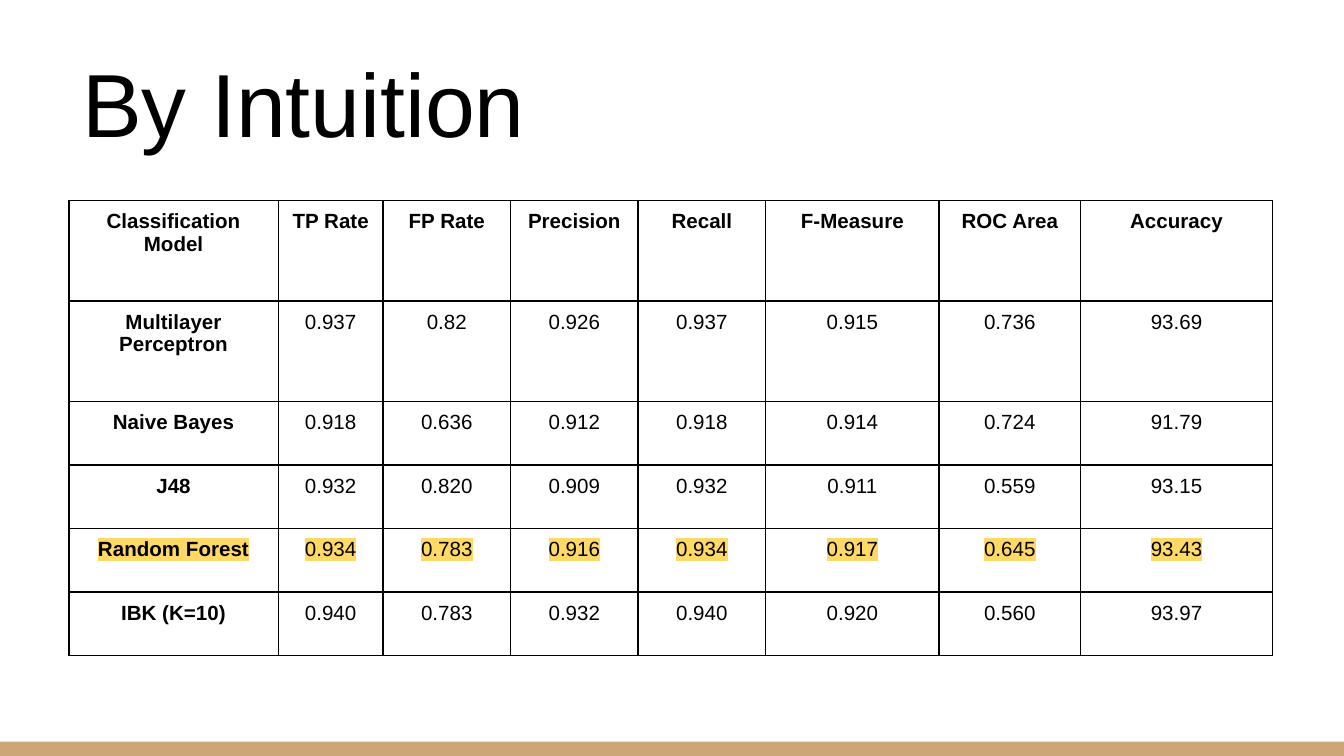
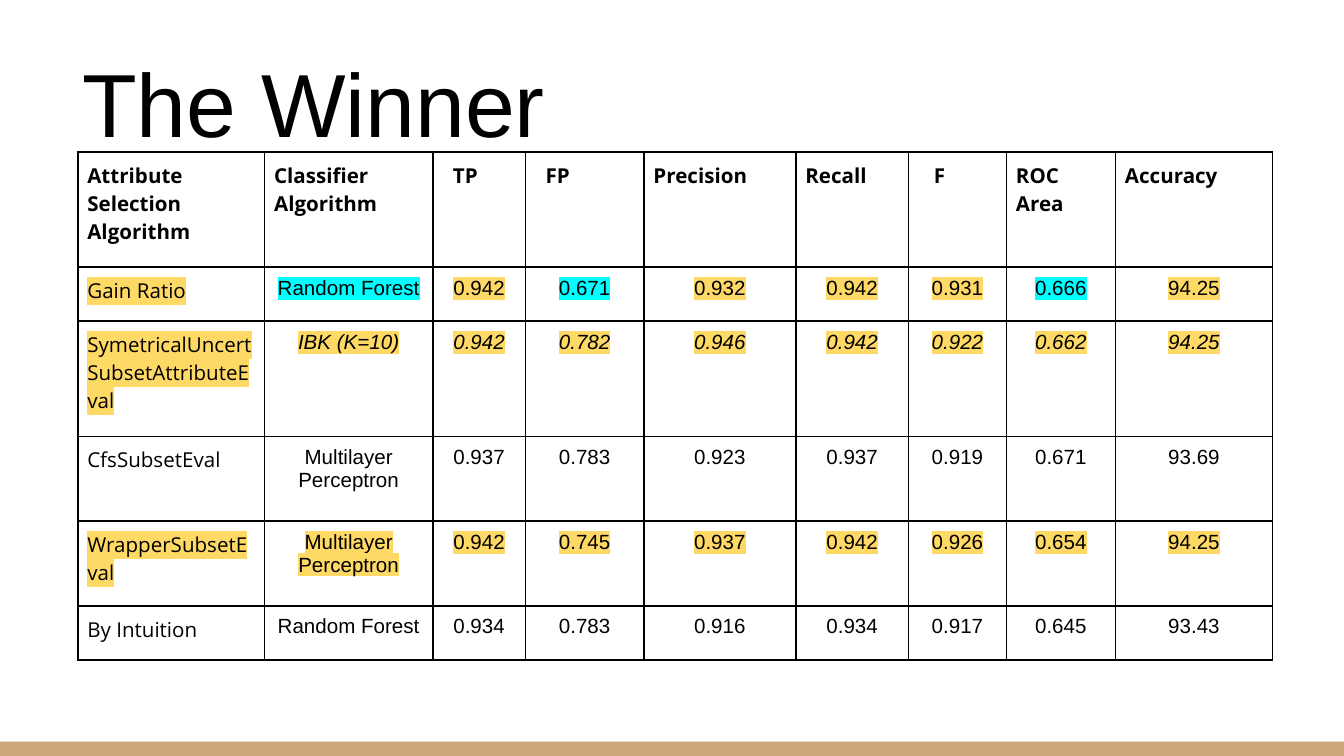
import pptx
import pptx.dml.color
import pptx.enum.shapes
import pptx.enum.text
import pptx.oxml
import pptx.oxml.ns
import pptx.util
from pptx.util import Cm

SLIDE_WIDTH, SLIDE_HEIGHT = 25.4, 14.29
TITLE_BOX = (1.3, 1.24, 17.68, 1.35)
BAND_HEIGHT = 0.27
CELL_INSET = 0.18

BLACK, TAN, YELLOW, CYAN = "000000", "CCA677", "FFD966", "00FFFF"
SANS, OPEN_SANS = "Arial", "Open Sans"
LEFT = pptx.enum.text.PP_ALIGN.LEFT
CENTER = pptx.enum.text.PP_ALIGN.CENTER

INTUITION_ROWS = [
    ["Classification Model", "TP Rate", "FP Rate", "Precision", "Recall",
     "F-Measure", "ROC Area", "Accuracy"],
    ["Multilayer Perceptron", "0.937", "0.82", "0.926", "0.937", "0.915", "0.736", "93.69"],
    ["Naive Bayes", "0.918", "0.636", "0.912", "0.918", "0.914", "0.724", "91.79"],
    ["J48", "0.932", "0.820", "0.909", "0.932", "0.911", "0.559", "93.15"],
    ["Random Forest", "0.934", "0.783", "0.916", "0.934", "0.917", "0.645", "93.43"],
    ["IBK (K=10)", "0.940", "0.783", "0.932", "0.940", "0.920", "0.560", "93.97"],
]
WINNER_ROWS = [
    ["Attribute Selection Algorithm", "Classifier Algorithm", "TP", "FP", "Precision",
     "Recall", "F", "ROC Area", "Accuracy"],
    ["Gain Ratio", "Random Forest", "0.942", "0.671", "0.932", "0.942", "0.931",
     "0.666", "94.25"],
    ["SymetricalUncertSubsetAttributeEval", "IBK (K=10)", "0.942", "0.782", "0.946",
     "0.942", "0.922", "0.662", "94.25"],
    ["CfsSubsetEval", "Multilayer Perceptron", "0.937", "0.783", "0.923", "0.937",
     "0.919", "0.671", "93.69"],
    ["WrapperSubsetEval", "Multilayer Perceptron", "0.942", "0.745", "0.937", "0.942",
     "0.926", "0.654", "94.25"],
    ["By Intuition", "Random Forest", "0.934", "0.783", "0.916", "0.934", "0.917",
     "0.645", "93.43"],
]
HEADER_INDENTS = {"TP": 0.2, "FP": 0.2, "F": 0.3}


def color(value):
    return pptx.dml.color.RGBColor.from_string(value)


def add_run(paragraph, text, size, font=SANS, bold=False, italic=False, highlight=None):
    run = paragraph.add_run()
    run.text = text
    run.font.size = pptx.util.Pt(size)
    run.font.name = font
    run.font.bold = bold
    run.font.italic = italic
    run.font.color.rgb = color(BLACK)
    if highlight:
        mark = pptx.oxml.parse_xml(
            f'<a:highlight {pptx.oxml.ns.nsdecls("a")}>'
            f'<a:srgbClr val="{highlight}"/></a:highlight>')
        fill = run.font._element.find(pptx.oxml.ns.qn("a:solidFill"))
        fill.addnext(mark)


def add_band(slide):
    band = slide.shapes.add_shape(
        pptx.enum.shapes.MSO_SHAPE.RECTANGLE, 0, Cm(SLIDE_HEIGHT - BAND_HEIGHT),
        Cm(SLIDE_WIDTH), Cm(BAND_HEIGHT))
    band.shadow.inherit = False
    band.fill.solid()
    band.fill.fore_color.rgb = color(TAN)
    band.line.fill.background()


def set_title(slide, text):
    title = slide.shapes.title
    title.left, title.top, title.width, title.height = map(Cm, TITLE_BOX)
    frame = title.text_frame
    frame.auto_size = pptx.enum.text.MSO_AUTO_SIZE.NONE
    frame.word_wrap = True
    frame.vertical_anchor = pptx.enum.text.MSO_ANCHOR.MIDDLE
    frame.margin_left = frame.margin_right = Cm(0.25)
    frame.margin_top = frame.margin_bottom = Cm(0.25)
    paragraph = frame.paragraphs[0]
    paragraph.alignment = LEFT
    add_run(paragraph, text, 48)


def format_cell(cell):
    cell.margin_left = cell.margin_right = Cm(CELL_INSET)
    cell.margin_top = cell.margin_bottom = Cm(CELL_INSET)
    cell.vertical_anchor = pptx.enum.text.MSO_ANCHOR.TOP
    cell.fill.background()
    properties = cell._tc.get_or_add_tcPr()
    for position, side in enumerate(("lnL", "lnR", "lnT", "lnB")):
        properties.insert(position, pptx.oxml.parse_xml(
            f'<a:{side} {pptx.oxml.ns.nsdecls("a")} w="{pptx.util.Pt(1)}">'
            f'<a:solidFill><a:srgbClr val="{BLACK}"/></a:solidFill></a:{side}>'))


def add_grid(slide, left, top, widths, heights, rows, style):
    """Add a bordered table; style(row, column) gives alignment and run format."""
    frame = slide.shapes.add_table(
        len(heights), len(widths), Cm(left), Cm(top), Cm(sum(widths)), Cm(sum(heights)))
    table = frame.table
    table.first_row = table.horz_banding = False
    for column, width in zip(table.columns, widths):
        column.width = Cm(width)
    for row, height in zip(table.rows, heights):
        row.height = Cm(height)
    for row_index, texts in enumerate(rows):
        for column_index, text in enumerate(texts):
            cell = table.cell(row_index, column_index)
            format_cell(cell)
            paragraph = cell.text_frame.paragraphs[0]
            paragraph.alignment, run_format = style(row_index, column_index)
            if text in HEADER_INDENTS:
                properties = paragraph._p.get_or_add_pPr()
                properties.set("marL", str(Cm(HEADER_INDENTS[text])))
            add_run(paragraph, text, 11, **run_format)


def intuition_style(row, column):
    return CENTER, {"bold": row == 0 or column == 0,
                    "highlight": YELLOW if row == 4 else None}


def winner_style(row, column):
    if row == 0:
        return LEFT, {"font": OPEN_SANS, "bold": True}
    highlight = YELLOW if row in (1, 2, 4) else None
    if row == 1 and column in (1, 3, 7):
        highlight = CYAN
    if column == 0:
        return LEFT, {"font": OPEN_SANS, "highlight": highlight}
    return CENTER, {"italic": row == 2, "highlight": highlight}


def add_table_slide(presentation, title, *grid):
    slide = presentation.slides.add_slide(presentation.slide_layouts[5])
    add_band(slide)
    set_title(slide, title)
    add_grid(slide, *grid)


def main():
    presentation = pptx.Presentation()
    presentation.slide_width = Cm(SLIDE_WIDTH)
    presentation.slide_height = Cm(SLIDE_HEIGHT)
    add_table_slide(
        presentation, "By Intuition", 1.3, 3.79,
        [3.96, 1.98, 2.41, 2.41, 2.41, 3.28, 2.67, 3.63],
        [1.9] * 2 + [1.2] * 4, INTUITION_ROWS, intuition_style)
    add_table_slide(
        presentation, "The Winner", 1.47, 2.87,
        [3.53, 3.18, 1.75, 2.24, 2.87, 2.13, 1.85, 2.06, 2.97],
        [2.18, 1.02, 2.18, 1.6, 1.6, 1.02], WINNER_ROWS, winner_style)
    presentation.save("out.pptx")


if __name__ == "__main__":
    main()
